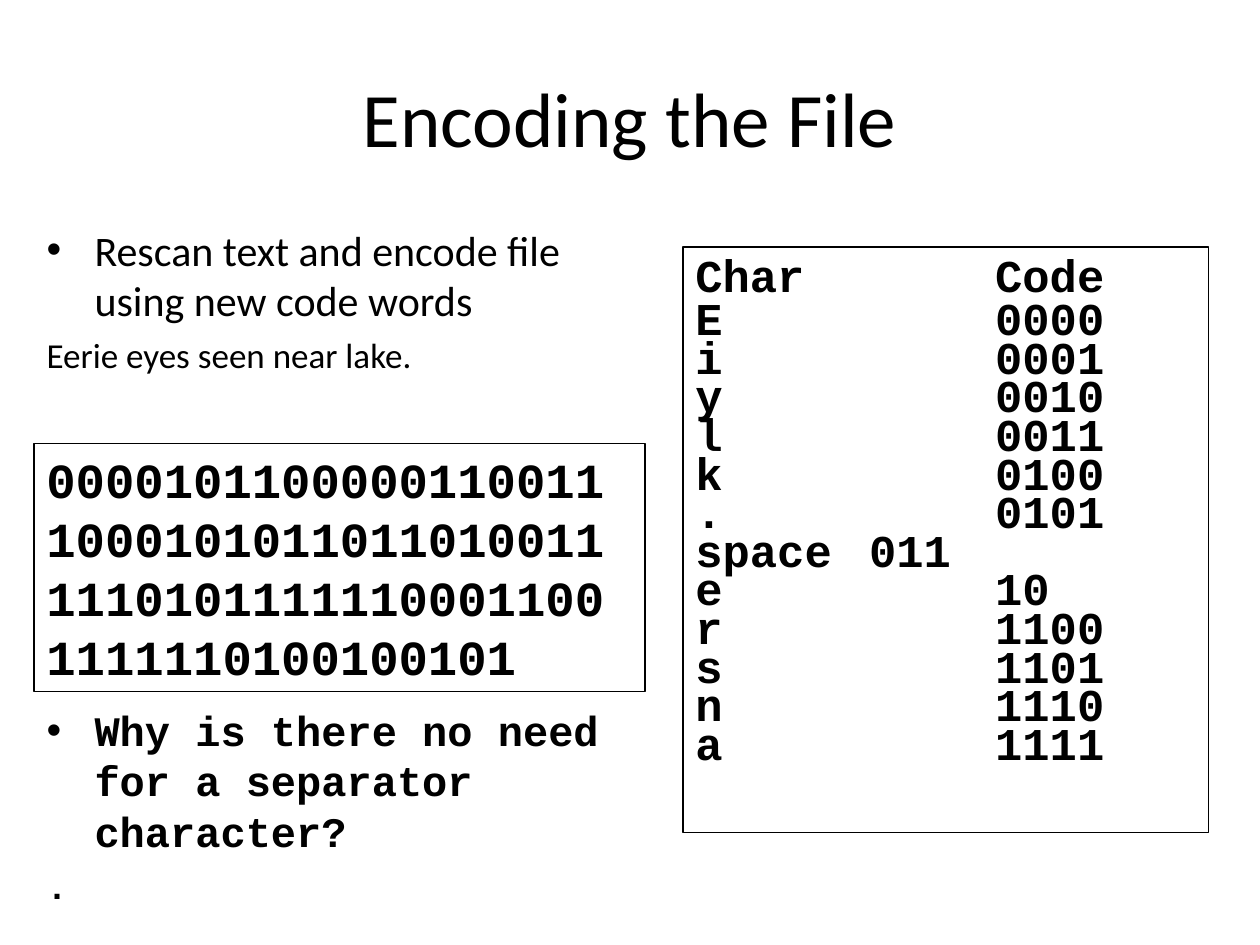
from lxml import etree
from pptx import Presentation
from pptx.dml.color import RGBColor
from pptx.enum.shapes import MSO_SHAPE
from pptx.enum.text import MSO_ANCHOR, MSO_AUTO_SIZE, PP_ALIGN
from pptx.oxml.ns import qn
from pptx.util import Inches, Pt

RECT = MSO_SHAPE.RECTANGLE
LEFT, CENTER = PP_ALIGN.LEFT, PP_ALIGN.CENTER
TOP, MIDDLE = MSO_ANCHOR.TOP, MSO_ANCHOR.MIDDLE
NO_FIT = MSO_AUTO_SIZE.NONE
SANS, MONO = "Calibri", "Courier New"
INK = "000000"
HANG = 0.38
TABS = (1.38, 2.38)

TITLE = "Encoding the File"
STEPS = ["Rescan text and encode file using new code words",
         "Eerie eyes seen near lake."]
ASK = ["Why is there no need for a separator character?", "."]
BITS = "0000101100000110011100010101101101001111101011111100011001111110100100101"
CODES = [("Char", "Code"), ("E", "0000"), ("i", "0001"), ("y", "0010"),
         ("l", "0011"), ("k", "0100"), (".", "0101"), ("space", "011"),
         ("e", "10"), ("r", "1100"), ("s", "1101"), ("n", "1110"),
         ("a", "1111")]


def color(code):
    return RGBColor.from_string(code)


def place(shape, left, top, width, height):
    shape.left, shape.top = Inches(left), Inches(top)
    shape.width, shape.height = Inches(width), Inches(height)


def set_frame(shape, lines, anchor=TOP):
    """Fill a shape with lines and return its paragraphs."""
    frame = shape.text_frame
    frame.text = "\n".join(lines)
    frame.word_wrap = True
    frame.auto_size = NO_FIT
    frame.vertical_anchor = anchor
    frame.margin_left = frame.margin_right = Inches(0.1)
    frame.margin_top = frame.margin_bottom = Inches(0.05)
    return frame.paragraphs


def style(para, size, face, bold=False, align=LEFT):
    para.alignment = align
    for run in para.runs:
        font = run.font
        font.size, font.name, font.bold = Pt(size), face, bold
        font.color.rgb = color(INK)


def indent(para, bullet=False):
    """Give a hanging indent, with or without a bullet."""
    props = para._p.get_or_add_pPr()
    props.set("marL", str(Inches(HANG)))
    props.set("indent", str(-Inches(HANG)))
    if bullet:
        etree.SubElement(props, qn("a:buChar"), char="•")
    else:
        etree.SubElement(props, qn("a:buNone"))


def add_tabs(para):
    stops = etree.SubElement(para._p.get_or_add_pPr(), qn("a:tabLst"))
    for pos in TABS:
        etree.SubElement(stops, qn("a:tab"), pos=str(Inches(pos)), algn="l")


def add_list(shape, lines, top, face, bold):
    """Set a bulleted line followed by a smaller plain one."""
    place(shape, 0.27, top, 4.75, 1.73)
    head, tail = set_frame(shape, lines)
    indent(head, bullet=True)
    indent(tail)
    head.space_before, tail.space_before = Pt(0), Pt(5)
    style(head, 24, face, bold)
    style(tail, 20, face, bold)


def add_box(slide, left, top, width, height):
    box = slide.shapes.add_shape(RECT, Inches(left), Inches(top),
                                 Inches(width), Inches(height))
    box.shadow.inherit = False
    box.fill.background()
    box.line.color.rgb = color(INK)
    box.line.width = Pt(0.75)
    return box


def add_codes(slide):
    box = add_box(slide, 5.42, 1.96, 4.17, 4.65)
    rows = []
    for char, code in CODES:
        gap = "\t" if char == "space" else "\t\t"
        rows.append(char + gap + code)
    for i, para in enumerate(set_frame(box, rows)):
        add_tabs(para)
        para.line_spacing = 0.5 if i else 0.9
        para.space_before = Pt(6.5 if i else 0)
        style(para, 26, MONO, True)


def add_bits(slide):
    box = add_box(slide, 0.27, 3.52, 4.85, 1.97)
    style(set_frame(box, [BITS])[0], 28, MONO, True)


def main():
    deck = Presentation()
    deck.slide_width, deck.slide_height = Inches(10), Inches(7.5)
    slide = deck.slides.add_slide(deck.slide_layouts[3])
    title, steps, ask = slide.placeholders
    place(title, 0.5, 0.3, 9, 1.25)
    style(set_frame(title, [TITLE], MIDDLE)[0], 44, SANS, align=CENTER)
    add_list(steps, STEPS, 1.73, SANS, False)
    add_codes(slide)
    add_bits(slide)
    add_list(ask, ASK, 5.54, MONO, True)
    deck.save("out.pptx")


if __name__ == "__main__":
    main()
